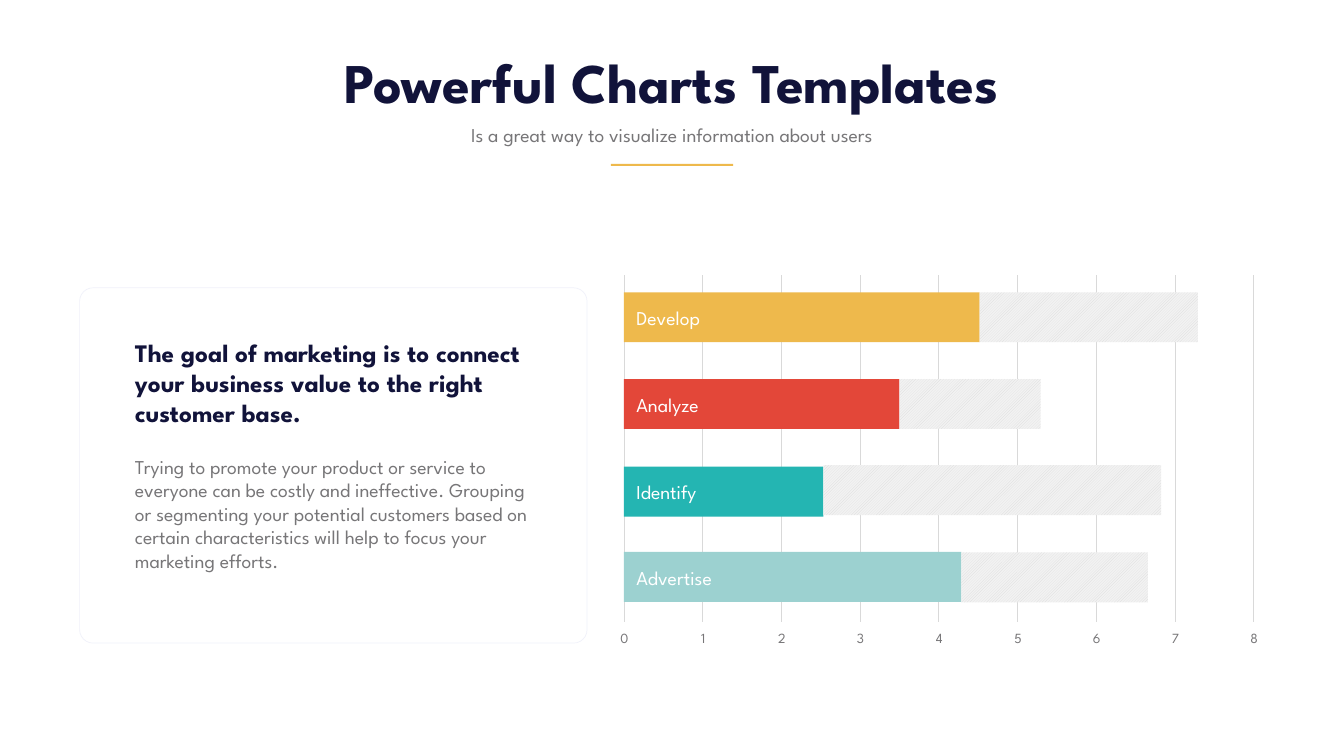
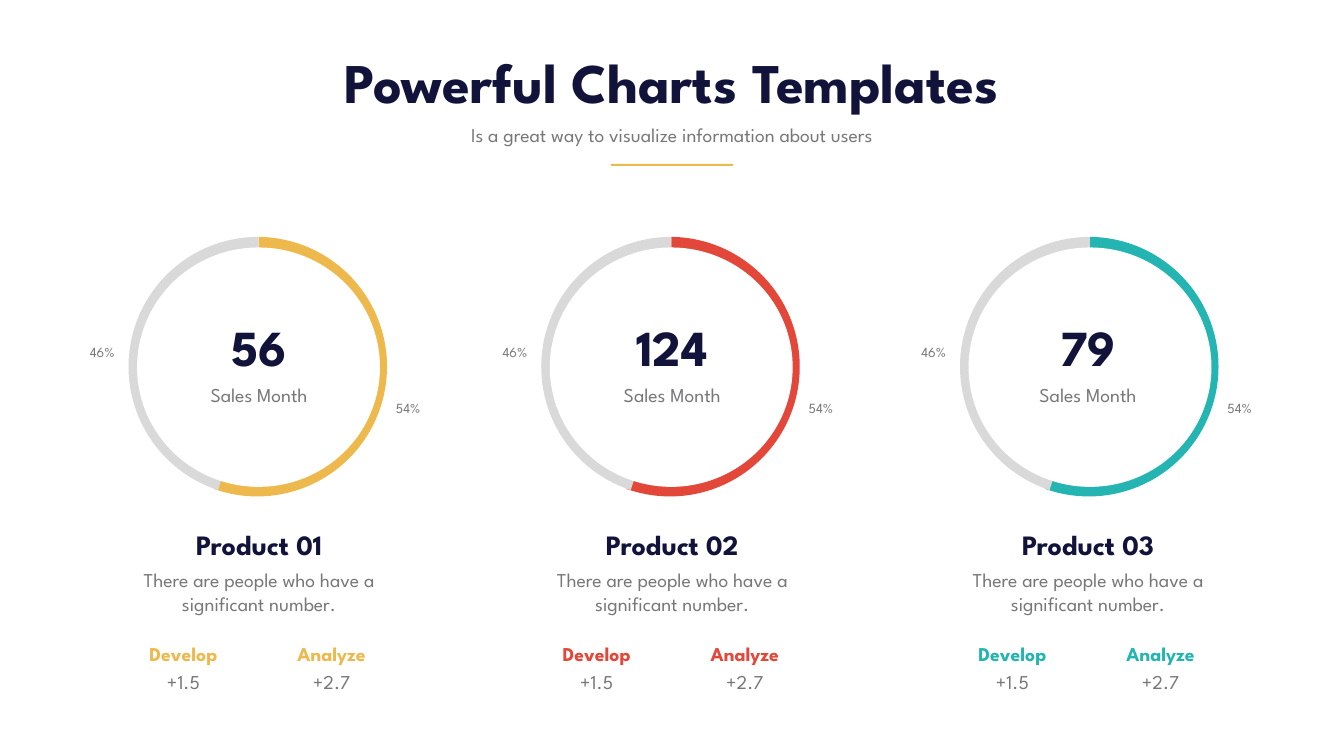
from lxml import etree
from pptx import Presentation
from pptx.dml.color import RGBColor
from pptx.enum.dml import MSO_PATTERN as Pattern
from pptx.enum.shapes import MSO_CONNECTOR as Connector, MSO_SHAPE as Shape
from pptx.enum.text import MSO_ANCHOR as Anchor, MSO_AUTO_SIZE as AutoSize, PP_ALIGN as Align
from pptx.oxml.ns import qn
from pptx.util import Inches, Pt

NAVY = RGBColor(0x11, 0x13, 0x3A)
GREY = RGBColor(0x77, 0x76, 0x78)
WHITE = RGBColor(0xFF, 0xFF, 0xFF)
YELLOW = RGBColor(0xEE, 0xB9, 0x4C)
RED = RGBColor(0xE3, 0x47, 0x39)
TEAL = RGBColor(0x24, 0xB5, 0xB2)
PALE_TEAL = RGBColor(0x9C, 0xD1, 0xD0)
LINE_GREY = RGBColor(0xD9, 0xD9, 0xD9)
HATCH_GREY = RGBColor(0xF2, 0xF2, 0xF2)
CARD_BORDER = RGBColor(0xF0, 0xF1, 0xFA)

FONT = "League Spartan"
BODY = {"size": Pt(28), "color": GREY}
SMALL = {"size": Pt(20), "color": GREY}
TITLE = {"size": Pt(80), "color": NAVY, "bold": True}
LEAD = {"size": Pt(36), "color": NAVY, "bold": True}
FIGURE = {"size": Pt(72), "color": NAVY, "bold": True}
PRODUCT = {"size": Pt(40), "color": NAVY, "bold": True}
BAR_LABEL = {"size": Pt(28), "color": WHITE}

LOOSE = Pt(40.8)
TIGHT_INSET = 0.06


class Deck:
    """Holds the shared style and the slide being built."""

    def __init__(self):
        self.presentation = Presentation()
        self.presentation.slide_width = Inches(26.67)
        self.presentation.slide_height = Inches(15)
        self.slide = None

    def new_slide(self, title, subtitle):
        layout = self.presentation.slide_layouts[5]
        self.slide = self.presentation.slides.add_slide(layout)
        placeholder = self.slide.shapes.title
        box = (3.88, 0.9, 18.9, 1.45)
        for name, length in zip(("left", "top", "width", "height"), box):
            setattr(placeholder, name, Inches(length))
        self.set_text(placeholder, title, TITLE, Align.CENTER)
        self.text(8.55, 2.38, 9.56, 0.57, subtitle, BODY, Align.CENTER)
        self.shape(Shape.RECTANGLE, 12.12, 3.25, 2.43, 0.04, YELLOW)

    def set_text(self, shape, text, style, align=Align.LEFT, spacing=None, inset=None):
        frame = shape.text_frame
        settings = {"word_wrap": True, "auto_size": AutoSize.SHAPE_TO_FIT_TEXT,
                    "vertical_anchor": Anchor.TOP}
        if inset is not None:
            settings["vertical_anchor"] = Anchor.MIDDLE
            for side in ("left", "top", "right", "bottom"):
                settings["margin_" + side] = Inches(inset)
        for name, value in settings.items():
            setattr(frame, name, value)
        paragraph = frame.paragraphs[0]
        paragraph.alignment = align
        if spacing is not None:
            paragraph.line_spacing = spacing
        run = paragraph.add_run()
        run.text = text
        for name, value in {"name": FONT, "bold": False, **style}.items():
            if name == "color":
                run.font.color.rgb = value
            else:
                setattr(run.font, name, value)

    def text(self, left, top, width, height, text, style, align=Align.LEFT, **options):
        box = self.slide.shapes.add_textbox(
            Inches(left), Inches(top), Inches(width), Inches(height))
        self.set_text(box, text, style, align, **options)

    def centred(self, center, top, width, height, text, style, **options):
        self.text(center - width / 2, top, width, height, text, style,
                  Align.CENTER, **options)

    def shape(self, kind, left, top, width, height, fill=None, border=None, adjust=()):
        shape = self.slide.shapes.add_shape(
            kind, Inches(left), Inches(top), Inches(width), Inches(height))
        shape.shadow.inherit = False
        for index, value in enumerate(adjust):
            shape.adjustments[index] = value
        if fill is not None:
            shape.fill.solid()
            shape.fill.fore_color.rgb = fill
        if border is None:
            shape.line.fill.background()
        else:
            shape.line.color.rgb = border
            shape.line.width = Pt(1)
        return shape

    def hatched(self, left, top, width, height):
        fill = self.shape(Shape.RECTANGLE, left, top, width, height).fill
        fill.patterned()
        fill.pattern = Pattern.WIDE_UPWARD_DIAGONAL
        fill.fore_color.rgb = LINE_GREY
        fill.back_color.rgb = HATCH_GREY

    def vertical_line(self, x, top, bottom):
        line = self.slide.shapes.add_connector(
            Connector.STRAIGHT, Inches(x), Inches(top), Inches(x), Inches(bottom))
        line.line.color.rgb = LINE_GREY
        line.line.width = Pt(1)
        etree.SubElement(line._element.spPr, qn("a:effectLst"))

    def ring(self, left, color):
        top, size = 4.7, 5.15
        self.shape(Shape.PIE, left, top, size, size, color, adjust=(162.387, 65.779))
        self.shape(Shape.PIE, left + 0.02, top, size, size, LINE_GREY,
                   adjust=(64.846, 162.043))
        self.shape(Shape.OVAL, left + 0.39, 5.07, 4.42, 4.42, WHITE)
        self.shape(Shape.OVAL, left + 0.19, 4.91, 4.82, 4.75, WHITE)
        for offset, y, share in ((-1.13, 6.53, "46%"), (4.94, 7.64, "54%")):
            self.text(left + offset, y, 1.26, 0.59, share, SMALL, Align.CENTER,
                      spacing=LOOSE)

    def product(self, center, name, sales, color):
        tight = {"inset": TIGHT_INSET}
        self.centred(center, 7.54, 3.59, 0.58, "Sales Month", BODY, **tight)
        self.centred(center, 6.22, 2.94, 1.32, sales, FIGURE, **tight)
        self.centred(center, 11.22, 6.35, 1.04,
                     "There are people who have a significant number.", BODY)
        self.centred(center, 10.4, 6.91, 0.79, name, PRODUCT, **tight)
        heading = {"size": Pt(28), "color": color, "bold": True}
        for offset, label, change in ((-1.5, "Develop", "+1.5"), (1.44, "Analyze", "+2.7")):
            self.centred(center + offset, 13.15, 2.7, 0.62, change, BODY, spacing=LOOSE)
            self.centred(center + offset, 12.59, 2.8, 0.63, label, heading, spacing=LOOSE)


def build_bars(deck):
    axis_left, axis_right, steps = 12.38, 24.88, 8
    step = (axis_right - axis_left) / steps

    # Grid and axis numbers
    for number in range(steps + 1):
        x = axis_left + number * step
        deck.vertical_line(x, 5.46, 12.35)
        deck.centred(x + 0.01, 12.44, 0.58, 0.44, str(number), SMALL)

    # Text card
    deck.shape(Shape.ROUNDED_RECTANGLE, 1.58, 5.71, 10.07, 7.05, WHITE,
               CARD_BORDER, adjust=(0.038,))
    deck.text(2.58, 6.64, 8.07, 1.92, "The goal of marketing is to connect your "
              "business value to the right customer base.", LEAD)
    deck.text(2.58, 8.97, 8.07, 2.93, "Trying to promote your product or service to "
              "everyone can be costly and ineffective. Grouping or segmenting your "
              "potential customers based on certain characteristics will help to "
              "focus your marketing efforts.", BODY)

    # Bars: label, colour, top, width, top and width of the hatched rest
    bars = (
        ("Develop", YELLOW, 5.8, 7.06, 5.8, 4.33),
        ("Analyze", RED, 7.52, 5.47, 7.52, 2.8),
        ("Identify", TEAL, 9.26, 3.96, 9.23, 6.7),
        ("Advertise", PALE_TEAL, 10.95, 6.7, 10.96, 3.7),
    )
    for label, color, top, width, rest_top, rest_width in bars:
        deck.shape(Shape.RECTANGLE, axis_left, top, width, 0.99, color)
        deck.hatched(axis_left + width, rest_top, rest_width, 0.99)
        deck.text(axis_left + 0.15, top + 0.22, 2.54, 0.57, label, BAR_LABEL)


def build_rings(deck):
    # Left edge of the ring, centre of its captions, name, sales, colour
    products = (
        (2.53, 5.14, "Product 01", "56", YELLOW),
        (10.72, 13.34, "Product 02", "124", RED),
        (19.03, 21.59, "Product 03", "79", TEAL),
    )
    for ring_left, center, name, sales, color in products:
        deck.ring(ring_left, color)
        deck.product(center, name, sales, color)


def main():
    deck = Deck()
    for build in (build_bars, build_rings):
        deck.new_slide("Powerful Charts Templates",
                       "Is a great way to visualize information about users")
        build(deck)
    deck.presentation.save("out.pptx")


if __name__ == "__main__":
    main()
